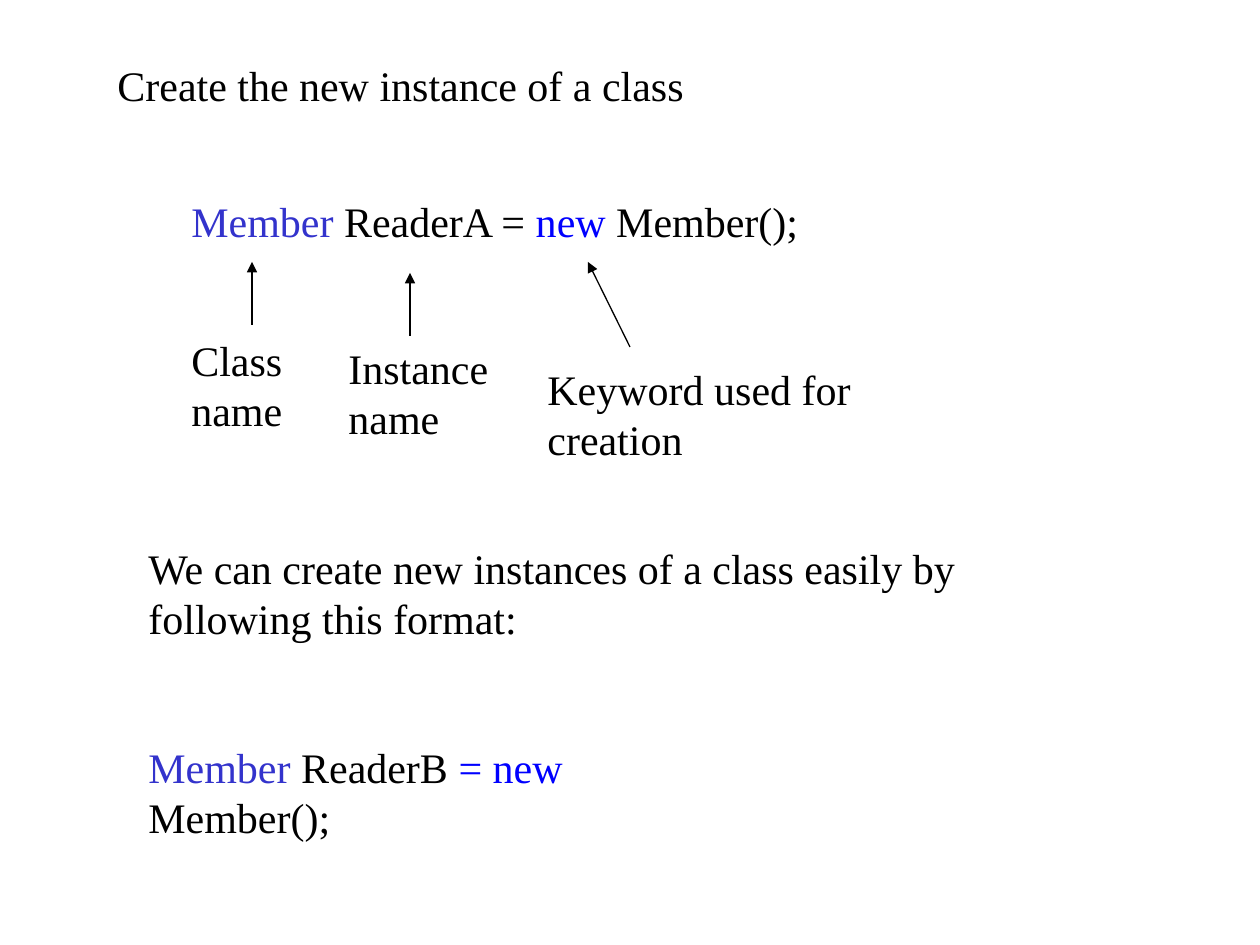
from lxml.etree import SubElement as Sub
from pptx import Presentation
from pptx.dml.color import RGBColor as RGB
from pptx.enum.shapes import MSO_CONNECTOR as Conn
from pptx.enum.text import MSO_ANCHOR as Anchor, MSO_AUTO_SIZE as Fit
from pptx.oxml.ns import qn
from pptx.util import Emu, Pt

THEME = {
    "font": {"name": "Times New Roman", "size": Pt(24)},
    "line": Pt(0.75),
    "text": RGB(0, 0, 0),
    "type": RGB(0x33, 0x33, 0xCC),
    "key": RGB(0, 0, 0xFF),
}


def px(*nums):
    """Turn px, at 126 to the inch, into EMU."""
    return [Emu(round(n * 914400 / 126)) for n in nums]


deck = Presentation()
deck.slide_width, deck.slide_height = px(1260, 945)
slide = deck.slides.add_slide(deck.slide_layouts[6])

# Each text: box, wrap, runs of (words, colour)
texts = [
    ((105, 53, 714, 63), True, [("Create the new instance of a class", "text")]),
    ((179, 189, 955, 63), True, [
        ("Member", "type"), (" ReaderA = ", "text"),
        ("new ", "key"), ("Member();", "text")]),
    ((179, 328, 126, 113), True, [("Class name", "text")]),
    ((336, 336, 168, 113), True, [("Instance name", "text")]),
    ((535, 357, 357, 113), True, [("Keyword used for creation", "text")]),
    ((136, 735, 631, 63), False, [
        ("Member ", "type"), ("ReaderB", "text"),
        (" = new ", "key"), ("Member();", "text")]),
    ((136, 536, 851, 113), True, [
        ("We can create new instances of a class easily by "
         "following this format:", "text")]),
]
for box, wrap, runs in texts:
    frame = slide.shapes.add_textbox(*px(*box)).text_frame
    form = {"word_wrap": wrap, "auto_size": Fit.SHAPE_TO_FIT_TEXT,
            "vertical_anchor": Anchor.TOP}
    for key, val in form.items():
        setattr(frame, key, val)
    for words, tint in runs:
        run = frame.paragraphs[0].add_run()
        run.text = words
        for key, val in THEME["font"].items():
            setattr(run.font, key, val)
        run.font.color.rgb = THEME[tint]

# Arrows from the labels up to the code
arrows = [(252, 325, 252, 262), (410, 336, 410, 273), (630, 347, 588, 262)]
for ends in arrows:
    arrow = slide.shapes.add_connector(Conn.STRAIGHT, *px(*ends))
    arrow.line.width = THEME["line"]
    arrow.line.color.rgb = THEME["text"]
    Sub(arrow.line._get_or_add_ln(), qn("a:tailEnd"), type="triangle")
    Sub(arrow._element.spPr, qn("a:effectLst"))

deck.save("out.pptx")
